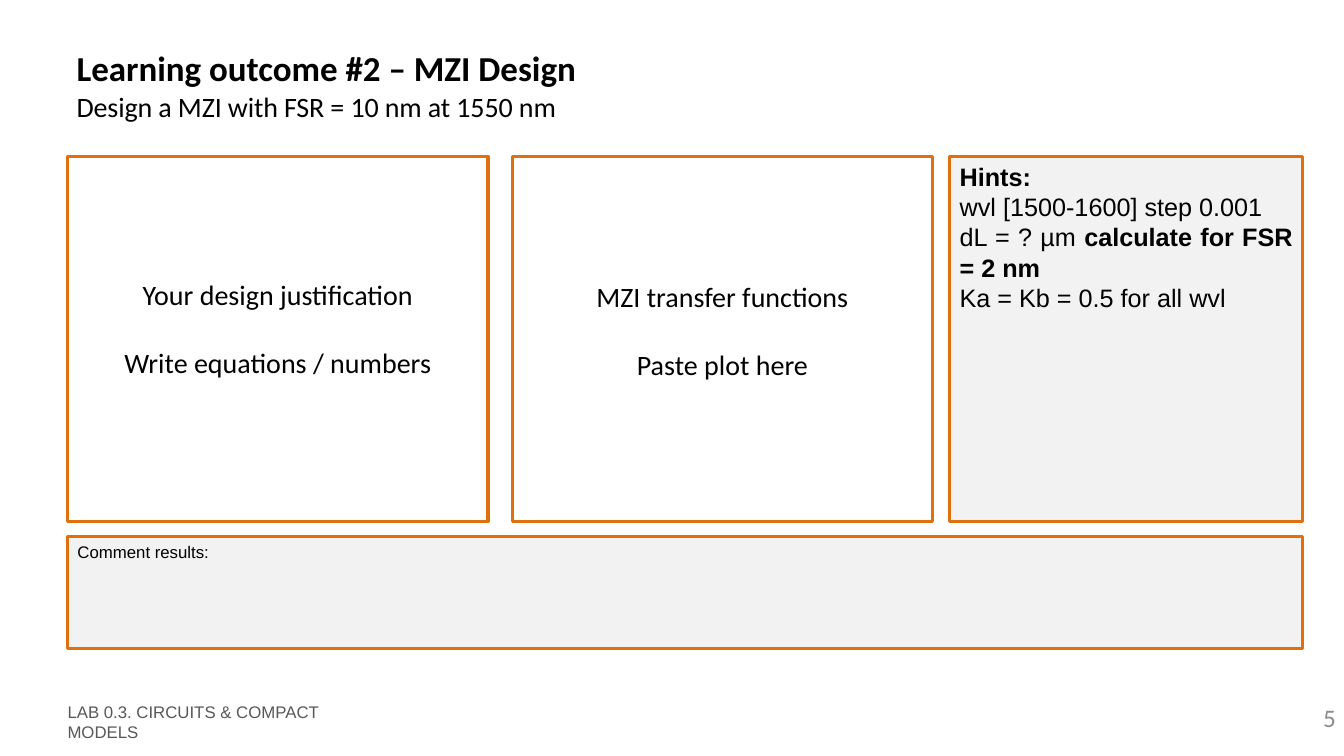
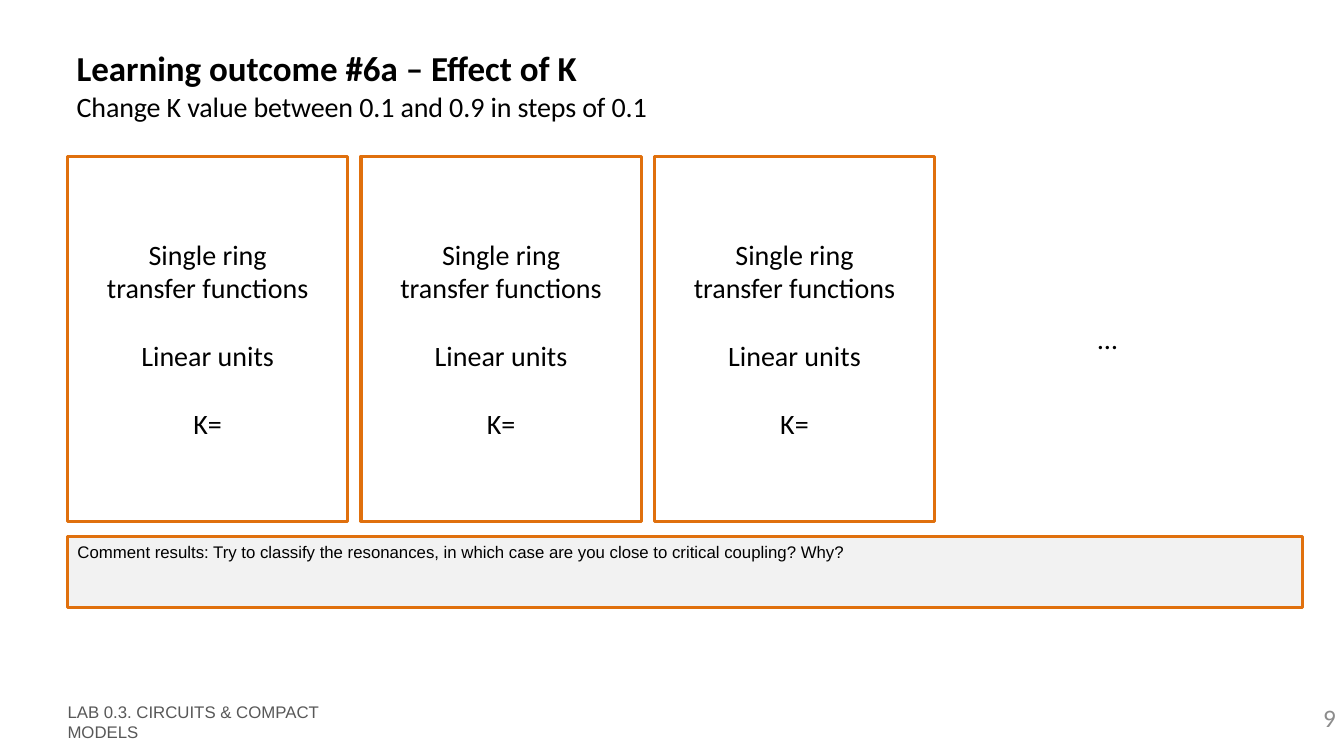
from pptx import Presentation
from pptx import util as u
from pptx.dml.color import RGBColor
from pptx.enum import shapes, text

PX = u.Inches(1) // 100
ORANGE, PALE, BLACK = "E0700D", "F2F2F2", "000000"
FOOTER_GREY, NUMBER_GREY = "585858", "8C8C8C"
LEFT, FRAME_TOP, FRAME_HEIGHT = 67, 155, 362
COMMENT_TOP, CONTENT_WIDTH = 532, 1225
BLANK_LINE = 24.4
ALIGN, ANCHOR = text.PP_ALIGN, text.MSO_ANCHOR


def rgb(value):
    return RGBColor.from_string(value)


def px(*lengths):
    return [u.Emu(length * PX) for length in lengths]


def set_frame(frame, anchor, insets=(10, 5, 10, 5)):
    frame.word_wrap = True
    frame.auto_size = text.MSO_AUTO_SIZE.NONE
    frame.vertical_anchor = anchor
    (frame.margin_left, frame.margin_top,
     frame.margin_right, frame.margin_bottom) = px(*insets)


def add_paragraph(frame, runs, size, font="Calibri", color=BLACK,
                  align=ALIGN.LEFT, before=0, tracking=0):
    paragraph = frame.paragraphs[0]
    if paragraph.runs:
        paragraph = frame.add_paragraph()
    paragraph.alignment = align
    paragraph.space_before = u.Pt(before)
    for words, bold in runs:
        run = paragraph.add_run()
        run.text = words
        run.font.name, run.font.size, run.font.bold = font, u.Pt(size), bold
        run.font.color.rgb = rgb(color)
        if tracking:
            run._r.get_or_add_rPr().set("spc", str(tracking))


def add_label(slide, box, words, size, anchor=ANCHOR.TOP, **style):
    shape = slide.shapes.add_textbox(*px(*box))
    set_frame(shape.text_frame, anchor, (0, 0, 0, 0))
    add_paragraph(shape.text_frame, [(words, False)], size, **style)


def add_box(slide, box, fill=None):
    shape = slide.shapes.add_shape(shapes.MSO_SHAPE.RECTANGLE, *px(*box))
    shape.shadow.inherit = False
    if fill:
        shape.fill.solid()
        shape.fill.fore_color.rgb = rgb(fill)
    else:
        shape.fill.background()
    shape.line.color.rgb = rgb(ORANGE)
    shape.line.width = u.Pt(2.25)
    return shape.text_frame


def add_answer_box(slide, left, width, groups, lift=0):
    frame = add_box(slide, (left, FRAME_TOP, width, FRAME_HEIGHT))
    set_frame(frame, ANCHOR.MIDDLE, (10, 5, 10, 5 + 2 * lift))
    for group_index, group in enumerate(groups):
        for line_index, line in enumerate(group):
            new_group = group_index and not line_index
            add_paragraph(frame, [(line, False)], 20, align=ALIGN.CENTER,
                          before=BLANK_LINE if new_group else 0)


def add_note_box(slide, box, lines, size):
    frame = add_box(slide, box, PALE)
    set_frame(frame, ANCHOR.TOP)
    for runs in lines:
        add_paragraph(frame, runs, size, "Arial", align=ALIGN.JUSTIFY)


def add_comment_box(slide, height, words):
    add_note_box(slide, (LEFT, COMMENT_TOP, CONTENT_WIDTH, height),
                 [[(words, False)]], 12)


def add_lab_slide(presentation, title, task, number):
    slide = presentation.slides.add_slide(presentation.slide_layouts[5])
    heading = slide.shapes.title
    heading.left, heading.top, heading.width, heading.height = px(76, 45, 1201, 79)
    set_frame(heading.text_frame, ANCHOR.TOP, (0, 1, 0, 0))
    add_paragraph(heading.text_frame, [(title, True)], 25, before=1)
    add_paragraph(heading.text_frame, [(task, False)], 20, before=1, tracking=-10)
    add_label(slide, (LEFT, 706, 300, 20), "LAB 0.3. CIRCUITS & COMPACT MODELS", 12,
              ANCHOR.MIDDLE, font="Arial", color=FOOTER_GREY)
    add_label(slide, (1018, 697, 307, 38), number, 18,
              color=NUMBER_GREY, align=ALIGN.RIGHT)
    return slide


def build_mzi_slide(presentation):
    slide = add_lab_slide(presentation, "Learning outcome #2 – MZI Design",
                          "Design a MZI with FSR = 10 nm at 1550 nm", "5")
    add_answer_box(slide, LEFT, 417,
                   [["Your design justification"], ["Write equations / numbers"]], 10)
    add_answer_box(slide, 508, 417,
                   [["MZI transfer functions"], ["Paste plot here"]], 8)
    add_note_box(slide, (942, FRAME_TOP, 350, FRAME_HEIGHT), [
        [("Hints:", True)],
        [("wvl [1500-1600] step 0.001", False)],
        [("dL = ? µm ", False), ("calculate for FSR = 2 nm", True)],
        [("Ka = Kb = 0.5 for all wvl", False)],
    ], 18)
    add_comment_box(slide, 111, "Comment results:")


def build_coupling_slide(presentation):
    slide = add_lab_slide(presentation, "Learning outcome #6a – Effect of K",
                          "Change K value between 0.1 and 0.9 in steps of 0.1", "9")
    width, gap = 278, 13
    for column in range(3):
        add_answer_box(slide, LEFT + column * (width + gap), width,
                       [["Single ring", "transfer functions"], ["Linear units"], ["K="]])
    add_label(slide, (1079, 314, 39, 44), "…", 20, ANCHOR.MIDDLE, align=ALIGN.CENTER)
    add_comment_box(slide, 71, "Comment results: Try to classify the resonances, "
                    "in which case are you close to critical coupling? Why?")


def main():
    presentation = Presentation()
    presentation.slide_width, presentation.slide_height = px(1333, 750)
    build_mzi_slide(presentation)
    build_coupling_slide(presentation)
    presentation.save("out.pptx")


if __name__ == "__main__":
    main()
